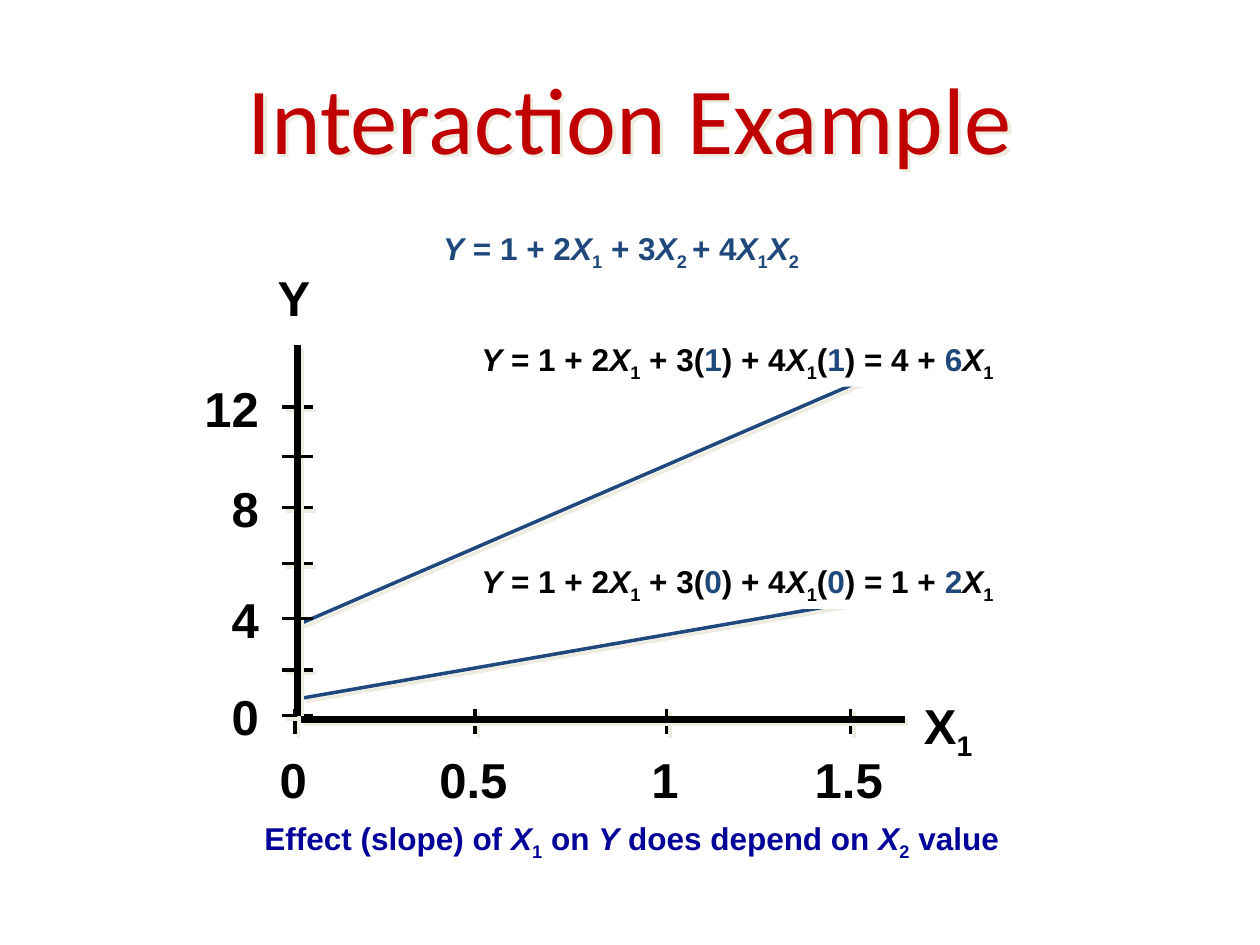
from lxml import etree
from pptx import Presentation
from pptx.dml.color import RGBColor
from pptx.enum import shapes, text
from pptx.oxml import ns
from pptx.util import Pt

BLACK, BLUE, NAVY, RED, WHITE, SHADE = "000000", "1F497D", "030399", "C00000", "FFFFFF", "EEECE1"
LEFT, CENTER, RIGHT = text.PP_ALIGN.LEFT, text.PP_ALIGN.CENTER, text.PP_ALIGN.RIGHT


def rgb(color):
    return RGBColor.from_string(color)


def add_effects(sp, shadow=True):
    effects = etree.SubElement(sp._element.spPr, ns.qn("a:effectLst"))
    if shadow:
        outer = etree.SubElement(effects, ns.qn("a:outerShdw"), dist=str(Pt(2.8)), dir="2700000", algn="ctr", rotWithShape="0")
        etree.SubElement(outer, ns.qn("a:srgbClr"), val=SHADE)


def add_line(s, x1, y1, x2, y2, color=BLACK, width=2, shadow=True):
    sp = s.shapes.add_connector(shapes.MSO_CONNECTOR.STRAIGHT, Pt(x1), Pt(y1), Pt(x2), Pt(y2))
    sp.line.color.rgb = rgb(color)
    sp.line.width = Pt(width)
    add_effects(sp, shadow)


def write(sp, parts, size, color, align, italic=True):
    """Parts are split at |; _ marks a subscript and * an accent."""
    p = sp.text_frame.paragraphs[0]
    p.alignment = align
    p.font.name, p.font.size, p.font.bold = "Arial", Pt(size), True
    p.font.color.rgb = rgb(color)
    for part in parts.split("|"):
        r = p.add_run()
        r.text = part.lstrip("_*")
        if part in ("X", "Y") and italic:
            r.font.italic = True
        if part.startswith("_"):
            r.font._element.set("baseline", "-25000")
        if part.startswith("*"):
            r.font.color.rgb = rgb(BLUE)


def add_text(s, x, y, w, h, parts, size=28, color=BLACK, align=CENTER, italic=True):
    sp = s.shapes.add_textbox(Pt(x), Pt(y), Pt(w), Pt(h))
    sp.text_frame.word_wrap = True
    write(sp, parts, size, color, align, italic)


def add_equation(s, x, y, w, h, parts):
    sp = s.shapes.add_shape(shapes.MSO_SHAPE.RECTANGLE, Pt(x), Pt(y), Pt(w), Pt(h))
    sp.shadow.inherit = False
    sp.fill.solid()
    sp.fill.fore_color.rgb = rgb(WHITE)
    sp.line.fill.background()
    sp.text_frame.word_wrap = False
    sp.text_frame.vertical_anchor = text.MSO_ANCHOR.MIDDLE
    write(sp, parts, 18, BLACK, LEFT)


def add_title(s, x, y, w, h, title):
    sp = s.shapes.title
    sp.left, sp.top, sp.width, sp.height = Pt(x), Pt(y), Pt(w), Pt(h)
    sp.text_frame.text = title
    sp.text_frame.vertical_anchor = text.MSO_ANCHOR.MIDDLE
    p = sp.text_frame.paragraphs[0]
    p.alignment = CENTER
    p.font.name, p.font.size = "Calibri", Pt(54)
    p.font.color.rgb = rgb(RED)
    add_effects(sp)


def add_plot(s, x, y, w, h):
    base = y + h
    x_ticks = {-1.5: "0", 101.5: "0.5", 211: "1", 316: "1.5"}
    y_ticks = {0: "0", 26: "", 55.5: "4", 87: "", 119: "8", 148: "", 176.5: "12"}
    front = (55.5, 148)

    def add_y_tick(dy, shadow):
        add_line(s, x - 8.7, base - dy, x + 8.6, base - dy, shadow=shadow)

    for dx in x_ticks:
        add_line(s, x + dx, base - 4, x + dx, base + 10.5)
    for dy in y_ticks:
        if dy not in front:
            add_y_tick(dy, True)
    add_line(s, x + 1.5, base - 52.6, x + 332.6, base - 195.9, BLUE)
    add_line(s, x + 2.8, base - 10.1, x + 337.6, base - 68.4, BLUE)
    add_line(s, x, y, x, base, width=4)
    add_line(s, x + 2, base + 2, x + w, base + 2, width=4)
    for dy in front:
        add_y_tick(dy, False)

    for dy, label in y_ticks.items():
        if label:
            add_text(s, x - 67, base - dy - 20, 52, 42, label, align=RIGHT)
    for dx, label in x_ticks.items():
        add_text(s, x + dx - 36.5, base + 16, 71, 42, label)
    add_text(s, x - 42.5, y - 47.5, 81, 42, "Y", italic=False)
    add_text(s, x + w - 0.7, base - 15, 51, 42, "X|_1", italic=False)

    for dy, x2, result in ((-5, "1", "4 + |*6"), (122, "0", "1 + |*2")):
        add_equation(s, x + 98, y + dy, 317.5, 29,
                     f"Y| = 1 + 2|X|_1| + 3(|*{x2}|) + 4|X|_1|(|*{x2}|) = {result}|X|_1")


def main():
    prs = Presentation()
    prs.slide_width, prs.slide_height = Pt(720), Pt(540)
    s = prs.slides.add_slide(prs.slide_layouts[5])
    add_title(s, 36, 21.6, 648, 90, "Interaction Example")
    add_text(s, 51, 464.4, 620, 29, "Effect (slope) of |X|_1| on |Y| does depend on |X|_2| value", 18, NAVY)
    add_text(s, 246.2, 127.4, 337, 29, "Y| = 1 + 2|X|_1| + 3|X|_2 |+ 4|X|_1|X|_2", 18, BLUE, LEFT)
    add_plot(s, 170, 197, 347, 212)
    prs.save("out.pptx")


if __name__ == "__main__":
    main()
